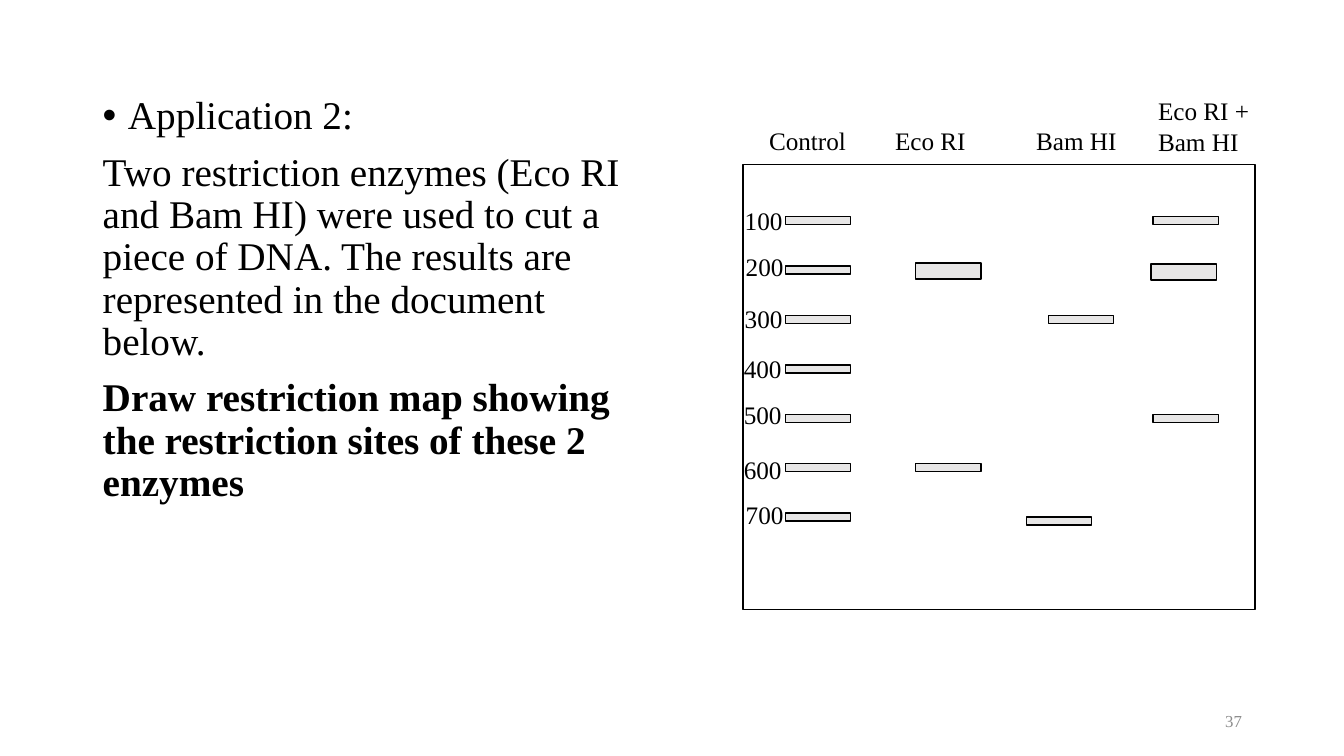
"""Build the slide on a restriction map exercise with its gel diagram."""
from lxml.etree import SubElement
from pptx import Presentation
from pptx.dml.color import RGBColor
from pptx.enum.shapes import MSO_SHAPE
from pptx.enum.text import MSO_ANCHOR, MSO_AUTO_SIZE, PP_ALIGN
from pptx.oxml.ns import qn
from pptx.util import Pt

BLACK = RGBColor(0x00, 0x00, 0x00)
BAND_GREY = RGBColor(0xE7, 0xE6, 0xE6)
NUMBER_GREY = RGBColor(0x8C, 0x8C, 0x8C)

EXERCISE = [
    ("Application 2:", True, False),
    ("Two restriction enzymes (Eco RI and Bam HI) were used to cut a piece of DNA. "
     "The results are represented in the document below.", False, False),
    ("Draw restriction map showing the restriction sites of these 2 enzymes", False, True),
]
LANE_NAMES = [
    ("Control", 542.2, 85.7, 73.4, 28.8),
    ("Eco RI", 632.2, 85.7, 73.4, 28.8),
    ("Bam HI", 733, 85.7, 90, 28.8),
    ("Eco RI + Bam HI", 820.1, 64.8, 109.4, 51.1),
]
SIZE_LABELS = [
    (524.9, 143.3), (525.6, 175.7), (524.9, 213.1), (524.2, 249.1),
    (524.2, 281.5), (524.2, 321.1), (525.6, 352.8),
]
BAND_WIDTH, BAND_HEIGHT = 46.8, 5.76
FIRST_BAND_TOP, BAND_STEP = 154.8, 35.28


def band_top(row):
    return round(FIRST_BAND_TOP + BAND_STEP * row, 2)


CUT_BANDS = [
    (653.8, 187.9, 2), (653.8, band_top(5), 1),
    (748.8, band_top(2), 1), (733, 369.4, 1),
    (822.2, 188.6, 2), (823.7, band_top(0), 1), (823.7, band_top(4), 1),
]


class GelSlide:
    """Hold the slide style and draw each kind of element."""

    def __init__(self, slide):
        self.slide = slide
        self.gel = slide.shapes.add_group_shape()
        self.font = {"name": "Times New Roman", "size": Pt(18), "bold": False}

    def add_words(self, paragraph, text, color=BLACK, **changes):
        run = paragraph.add_run()
        run.text = text
        for key, value in {**self.font, **changes}.items():
            setattr(run.font, key, value)
        run.font.color.rgb = color

    def exercise(self, paragraphs, left, top, width, height):
        body = self.slide.placeholders[1]
        place = {"left": left, "top": top, "width": width, "height": height}
        for key, value in place.items():
            setattr(body, key, Pt(value))
        frame = body.text_frame
        frame.auto_size = MSO_AUTO_SIZE.NONE
        for index, (text, bulleted, bold) in enumerate(paragraphs):
            paragraph = frame.add_paragraph() if index else frame.paragraphs[0]
            properties = paragraph._p.get_or_add_pPr()
            indent = Pt(18) if bulleted else 0
            properties.set("marL", str(indent))
            properties.set("indent", str(-indent))
            if bulleted:
                SubElement(properties, qn("a:buChar"), char="•")
            else:
                SubElement(properties, qn("a:buNone"))
            paragraph.line_spacing = 0.9
            paragraph.space_before = Pt(10 if index else 0)
            self.add_words(paragraph, text, size=Pt(28), bold=bold)

    def box(self, left, top, width, height, fill=None):
        box = self.gel.shapes.add_shape(
            MSO_SHAPE.RECTANGLE, Pt(left), Pt(top), Pt(width), Pt(height))
        box.shadow.inherit = False
        if fill is None:
            box.fill.background()
        else:
            box.fill.solid()
            box.fill.fore_color.rgb = fill
        box.line.color.rgb = BLACK
        box.line.width = Pt(1)

    def band(self, left, top, thickness=1):
        self.box(left, top, BAND_WIDTH, BAND_HEIGHT * thickness, BAND_GREY)

    def label(self, text, left, top, width, height):
        label = self.gel.shapes.add_textbox(Pt(left), Pt(top), Pt(width), Pt(height))
        label.text_frame.word_wrap = True
        label.text_frame.auto_size = MSO_AUTO_SIZE.SHAPE_TO_FIT_TEXT
        self.add_words(label.text_frame.paragraphs[0], text)

    def page_number(self, text, left, top, width, height):
        number = self.slide.shapes.add_textbox(Pt(left), Pt(top), Pt(width), Pt(height))
        number.text_frame.word_wrap = True
        number.text_frame.vertical_anchor = MSO_ANCHOR.MIDDLE
        paragraph = number.text_frame.paragraphs[0]
        paragraph.alignment = PP_ALIGN.RIGHT
        self.add_words(paragraph, text, NUMBER_GREY, size=Pt(12))


def main():
    deck = Presentation()
    deck.slide_width, deck.slide_height = Pt(960), Pt(540)
    slide = deck.slides.add_slide(deck.slide_layouts[1])
    title = slide.shapes.title._element
    title.getparent().remove(title)

    page = GelSlide(slide)
    page.exercise(EXERCISE, 66.2, 64.8, 408.2, 342.7)
    page.box(530.6, 117.4, 365.8, 318.2)
    for row, (left, top) in enumerate(SIZE_LABELS):
        page.band(560.9, band_top(row))
        page.label(str(100 * (row + 1)), left, top, 52.6, 28.8)
    for cut in CUT_BANDS:
        page.band(*cut)
    for lane in LANE_NAMES:
        page.label(*lane)
    page.page_number("37", 678.2, 500.4, 216, 28.8)
    deck.save("out.pptx")


if __name__ == "__main__":
    main()
